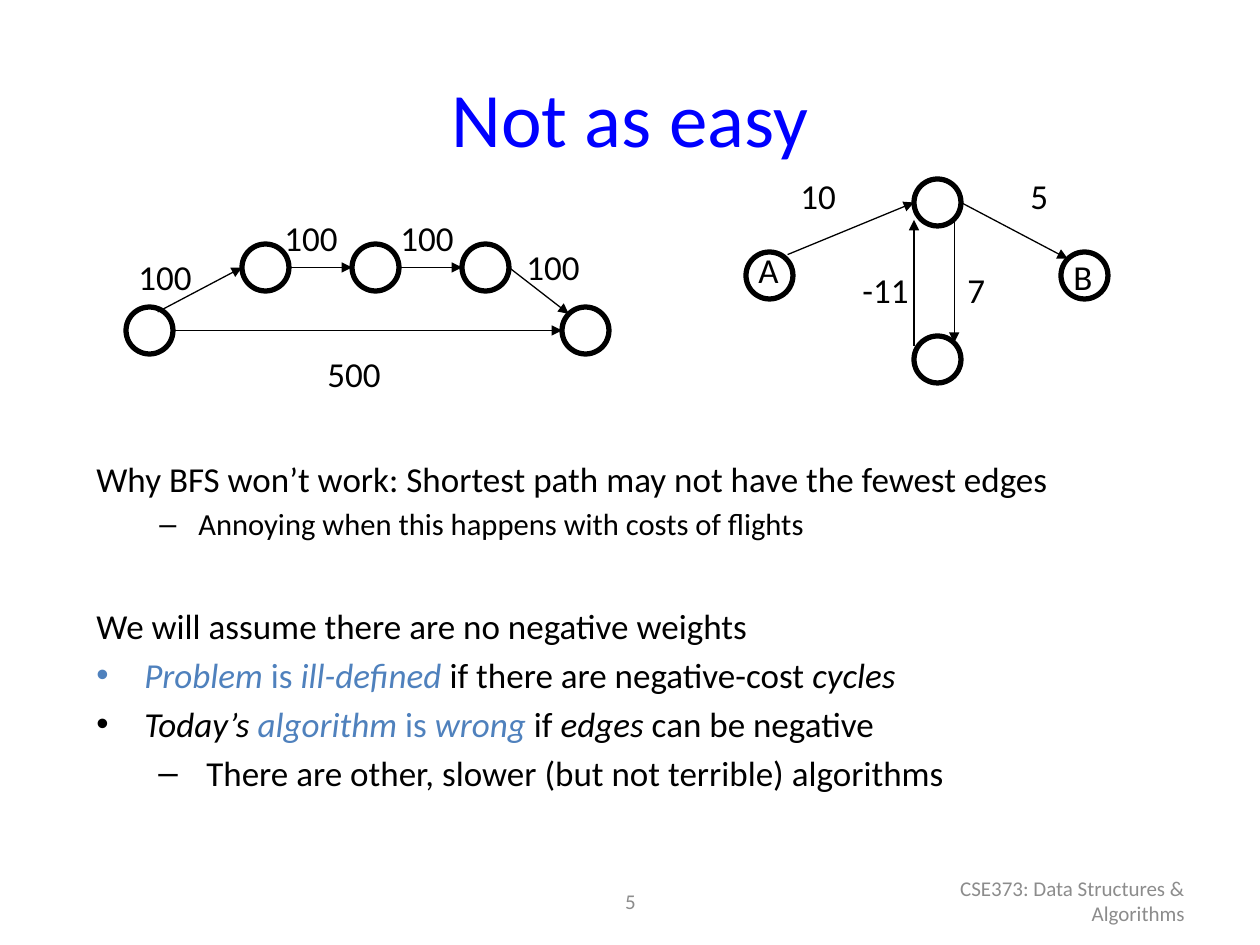
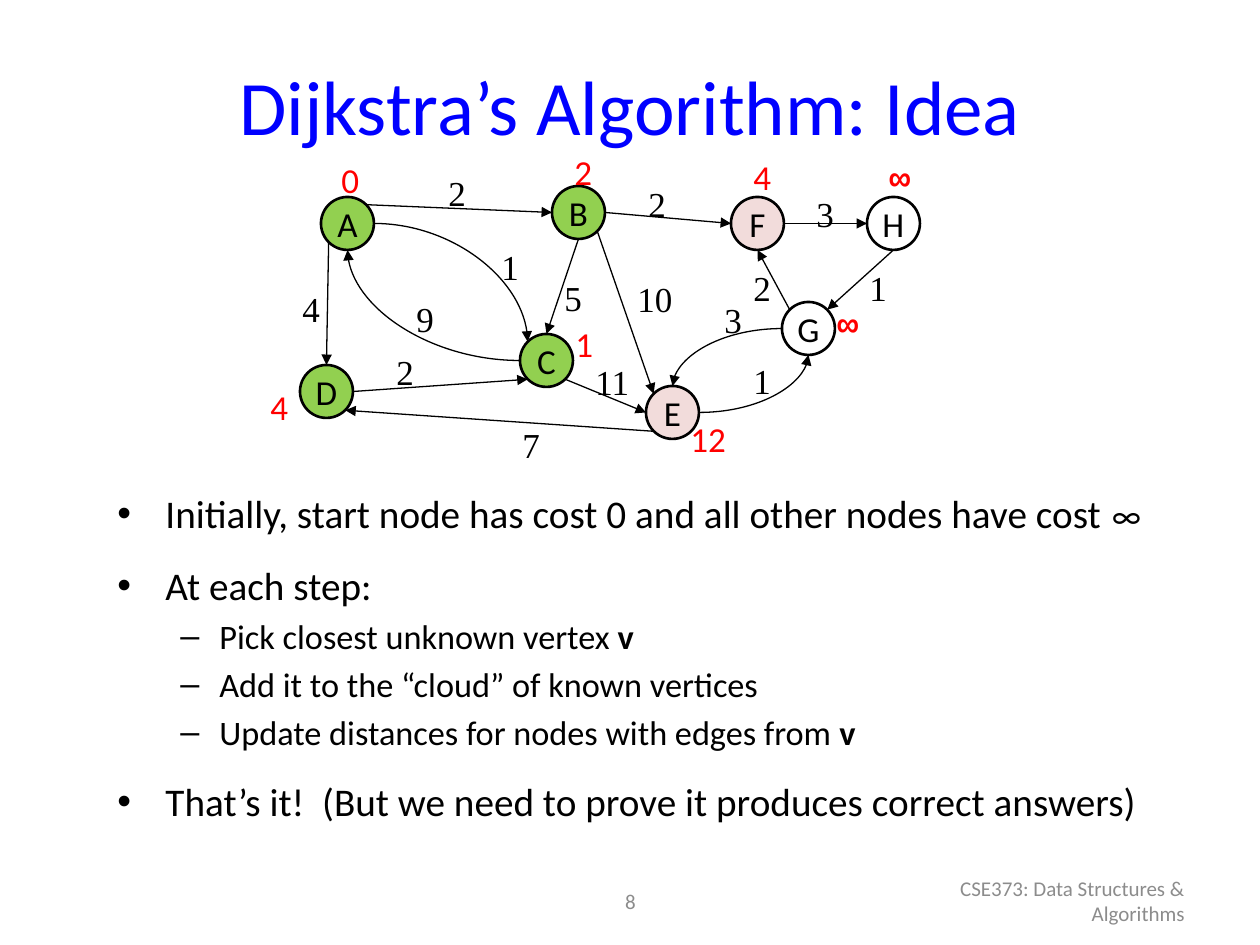
from lxml import etree
from pptx import Presentation
from pptx.dml.color import RGBColor
from pptx.enum.shapes import MSO_CONNECTOR, MSO_SHAPE
from pptx.enum.text import MSO_ANCHOR, MSO_AUTO_SIZE, PP_ALIGN
from pptx.oxml.ns import qn
from pptx.util import Emu, Pt

STRAIGHT, CURVE = MSO_CONNECTOR.STRAIGHT, MSO_CONNECTOR.CURVE
ELLIPSE = MSO_SHAPE.OVAL
MIDDLE = MSO_ANCHOR.MIDDLE
GROW = MSO_AUTO_SIZE.SHAPE_TO_FIT_TEXT
LEFT, CENTER, RIGHT = PP_ALIGN.LEFT, PP_ALIGN.CENTER, PP_ALIGN.RIGHT

EMU_PER_PX = 914400 / 126
TITLE_ONLY = 5
SANS, SERIF, MONO = "Calibri", "Times New Roman", "Courier New"
BLACK, TITLE_BLUE, ACCENT, GREY, RED = "000000", "0000FF", "4F81BD", "8C8C8C", "FF0000"
KNOWN, FRONTIER = "92D050", "F2DCDB"
COURSE = "CSE373: Data Structures & Algorithms"

DIAGONAL = 0.71
SITES = {
    "N": (0, -1), "S": (0, 1), "W": (-1, 0), "E": (1, 0),
    "NW": (-DIAGONAL, -DIAGONAL), "NE": (DIAGONAL, -DIAGONAL),
    "SW": (-DIAGONAL, DIAGONAL), "SE": (DIAGONAL, DIAGONAL),
}

LINE_GAP, SECTION_GAP = 0.2, 0.64
PLAIN = (None, 48, 48, LINE_GAP)
BULLET = ("•", 48, 48, LINE_GAP)
SECTION = ("•", 48, 48, SECTION_GAP)
DASH = ("–", 102, 39, LINE_GAP)
WIDE_DASH = ("–", 110, 48, LINE_GAP)
ITALIC = {"italic": True}
BOLD = {"bold": True}
BLUE = {"color": ACCENT}
BLUE_ITALIC = {"color": ACCENT, "italic": True}


def px(length):
    return Emu(round(length * EMU_PER_PX))


def rgb(color):
    return RGBColor.from_string(color)


def style(font, size, color=None, name=SANS, bold=None):
    font.size, font.name, font.bold = Pt(size), name, bold
    if color:
        font.color.rgb = rgb(color)


def add_text(slide, box, text, size, color, name=SANS, bold=None, align=LEFT):
    label = slide.shapes.add_textbox(*map(px, box))
    paragraph = label.text_frame.paragraphs[0]
    paragraph.text = text
    paragraph.alignment = align
    style(paragraph.font, size, color, name, bold)
    return label.text_frame


def add_label(slide, x, y, text, color=BLACK, name=SANS, bold=None):
    frame = add_text(slide, (x, y, 25 + 18 * len(text), 55), text, 20, color, name, bold)
    frame.word_wrap = False
    frame.auto_size = GROW


def add_frame(prs, title, top, number):
    slide = prs.slides.add_slide(prs.slide_layouts[TITLE_ONLY])
    heading = slide.shapes.title
    heading.left, heading.top, heading.width, heading.height = map(px, (63, top, 1134, 158))
    heading.text_frame.vertical_anchor = MIDDLE
    paragraph = heading.text_frame.paragraphs[0]
    paragraph.text = title
    paragraph.alignment = CENTER
    style(paragraph.font, 44, TITLE_BLUE)
    for box, text, align in (((431, 876, 399, 50), number, CENTER),
                             ((903, 876, 294, 50), COURSE, RIGHT)):
        frame = add_text(slide, box, text, 12, GREY, align=align)
        frame.word_wrap = True
        frame.vertical_anchor = MIDDLE
    return slide


def add_body(slide, box, lines):
    frame = slide.shapes.add_textbox(*map(px, box)).text_frame
    frame.word_wrap = True
    for i, (marker, size, runs) in enumerate(lines):
        paragraph = frame.add_paragraph() if i else frame.paragraphs[0]
        bullet, margin, hang, gap = marker
        properties = paragraph._p.get_or_add_pPr()
        properties.set("marL", str(px(margin)))
        properties.set("indent", str(px(-hang)))
        if bullet:
            etree.SubElement(properties, qn("a:buFont")).set("typeface", "Arial")
            etree.SubElement(properties, qn("a:buChar")).set("char", bullet)
        if i:
            paragraph.space_before = Pt(gap * size)
        style(paragraph.font, size)
        for text, look in runs:
            run = paragraph.add_run()
            run.text = text
            run.font.color.rgb = rgb(look.get("color", BLACK))
            run.font.italic = look.get("italic")
            run.font.bold = look.get("bold")
            if "size" in look:
                run.font.size = Pt(look["size"])


def add_node(slide, x, y, size, weight, fill, name):
    node = slide.shapes.add_shape(ELLIPSE, px(x), px(y), px(size), px(size))
    node.shadow.inherit = False
    if fill:
        node.fill.solid()
        node.fill.fore_color.rgb = rgb(fill)
    else:
        node.fill.background()
    node.line.color.rgb = rgb(BLACK)
    node.line.width = Pt(weight)
    if name:
        frame = node.text_frame
        frame.word_wrap = False
        frame.vertical_anchor = MIDDLE
        paragraph = frame.paragraphs[0]
        paragraph.text = name
        paragraph.alignment = CENTER
        style(paragraph.font, 20, BLACK)


def add_edge(slide, start, end, curved):
    edge = slide.shapes.add_connector(CURVE if curved else STRAIGHT, *map(px, start + end))
    edge.line.color.rgb = rgb(BLACK)
    edge.line.width = Pt(0.75)
    properties = edge._element.spPr
    etree.SubElement(properties.find(qn("a:ln")), qn("a:tailEnd")).set("type", "triangle")
    etree.SubElement(properties, qn("a:effectLst"))
    if curved:
        properties.find(qn("a:prstGeom")).set("prst", "curvedConnector2")
        if end[0] < start[0]:
            transform = properties.find(qn("a:xfrm"))
            rises = end[1] < start[1]
            transform.attrib.pop("flipH", None)
            transform.attrib.pop("flipV", None)
            transform.set("rot", "10800000")
            if not rises:
                transform.set("flipV", "1")


def add_graph(slide, origin, nodes, edges, size, weight, named, label_font):
    left, top = origin

    def anchor(name, site):
        x, y, _ = nodes[name]
        dx, dy = SITES.get(site, site)
        return left + x + size / 2 * (1 + dx), top + y + size / 2 * (1 + dy)

    for name, (x, y, fill) in nodes.items():
        add_node(slide, left + x, top + y, size, weight, fill, name if named else None)
    for source, exit_site, target, entry_site, cost, x, y, *curved in edges:
        add_edge(slide, anchor(source, exit_site), anchor(target, entry_site), bool(curved))
        add_label(slide, left + x, top + y, cost, name=label_font)


def add_flight_graph(slide, origin):
    nodes = {"start": (0, 97, None), "first": (116, 34, None), "second": (226, 34, None),
             "third": (336, 34, None), "end": (436, 97, None)}
    edges = [
        ("start", "E", "end", "W", "500", 189, 136),
        ("start", (0.35, -0.79), "first", "W", "100", 0, 39),
        ("first", "E", "second", "W", "100", 146, 0),
        ("second", "E", "third", "W", "100", 262, 0),
        ("third", "E", "end", "NW", "100", 388, 29),
    ]
    add_graph(slide, origin, nodes, edges, 47, 3, False, SANS)


def add_negative_graph(slide, origin):
    nodes = {"A": (0, 84, None), "top": (168, 11, None),
             "B": (315, 84, None), "bottom": (168, 168, None)}
    edges = [
        ("A", (0.77, -0.89), "top", "W", "10", 42, 0),
        ("top", "E", "B", "NW", "5", 272, 0),
        ("top", "SE", "bottom", "NE", "7", 209, 94),
        ("bottom", (-1, -0.58), "top", (-1, 0.74), "-11", 104, 94),
    ]
    add_graph(slide, origin, nodes, edges, 47, 3, False, SANS)
    left, top = origin
    for x, y, letter in ((0, 74, "A"), (315, 81, "B")):
        add_label(slide, left + x, top + y, letter)


def add_dijkstra_graph(slide, origin):
    nodes = {
        "A": (69, 53, KNOWN), "B": (300, 42, KNOWN), "D": (48, 221, KNOWN),
        "C": (268, 190, KNOWN), "F": (479, 53, FRONTIER), "H": (615, 53, None),
        "E": (394, 242, FRONTIER), "G": (530, 158, None),
    }
    edges = [
        ("A", "E", "C", "NW", "1", 237, 95, CURVE),
        ("C", "W", "A", "S", "9", 152, 147, CURVE),
        ("G", "W", "E", "N", "3", 460, 148, CURVE),
        ("E", "E", "G", "S", "1", 489, 209, CURVE),
        ("A", "SW", "D", "N", "4", 38, 137),
        ("D", "E", "C", "SW", "2", 132, 200),
        ("A", "NE", "B", "W", "2", 184, 21),
        ("B", "E", "F", "W", "2", 384, 32),
        ("F", "E", "H", "W", "3", 552, 42),
        ("G", "NW", "F", "S", "2", 489, 116),
        ("H", "S", "G", "NE", "1", 605, 116),
        ("B", "SE", "E", "NW", "10", 373, 127),
        ("B", "S", "C", "N", "5", 300, 126),
        ("C", "SE", "E", "W", "11", 331, 210),
        ("E", "SW", "D", "SE", "7", 258, 273),
    ]
    add_graph(slide, origin, nodes, edges, 53, 1.5, True, SERIF)
    left, top = origin
    distances = [("0", 77, 8), ("2", 310, 0), ("4", 489, 5), ("∞", 625, 5),
                 ("4", 6, 235), ("1", 311, 172), ("12", 426, 267), ("∞", 573, 151)]
    for distance, x, y in distances:
        infinite = distance == "∞"
        add_label(slide, left + x, top + y, distance, RED,
                  MONO if infinite else SANS, infinite or None)


def build_not_as_easy(prs):
    slide = add_frame(prs, "Not as easy", 38, "5")
    add_flight_graph(slide, (126, 210))
    add_negative_graph(slide, (746, 168))
    add_body(slide, (84, 451, 1071, 116), [
        (PLAIN, 20,
         [("Why BFS won’t work: Shortest path may not have the fewest edges", {})]),
        (DASH, 17.5, [("Annoying when this happens with costs of flights", {})]),
    ])
    add_body(slide, (84, 598, 1071, 220), [
        (PLAIN, 20, [("We will assume there are no negative weights", {})]),
        (BULLET, 20, [("Problem", BLUE_ITALIC), (" is ", BLUE),
                      ("ill-defined ", BLUE_ITALIC),
                      ("if there are negative-cost ", {}), ("cycles", ITALIC)]),
        (BULLET, 20, [("Today’s ", ITALIC), ("algorithm", BLUE_ITALIC), (" is ", BLUE),
                      ("wrong ", BLUE_ITALIC), ("if ", {}), ("edges", ITALIC),
                      (" can be negative", {})]),
        (WIDE_DASH, 20, [("There are other, slower (but not terrible) algorithms", {})]),
    ])


def build_dijkstra_idea(prs):
    slide = add_frame(prs, "Dijkstra’s Algorithm: Idea", 26, "8")
    add_dijkstra_graph(slide, (252, 144))
    add_body(slide, (105, 483, 1102, 388), [
        (BULLET, 22.4,
         [("Initially, start node has cost 0 and all other nodes have cost ", {}),
          ("∞", {"size": 19.6})]),
        (SECTION, 22.4, [("At each step:", {})]),
        (DASH, 19.6, [("Pick closest unknown vertex ", {}), ("v", BOLD)]),
        (DASH, 19.6, [("Add it to the “cloud” of known vertices", {})]),
        (DASH, 19.6, [("Update distances for nodes with edges from ", {}), ("v", BOLD)]),
        (SECTION, 22.4,
         [("That’s it!  (But we need to prove it produces correct answers)", {})]),
    ])


def main():
    prs = Presentation()
    prs.slide_width, prs.slide_height = px(1260), px(945)
    build_not_as_easy(prs)
    build_dijkstra_idea(prs)
    prs.save("out.pptx")


if __name__ == "__main__":
    main()
